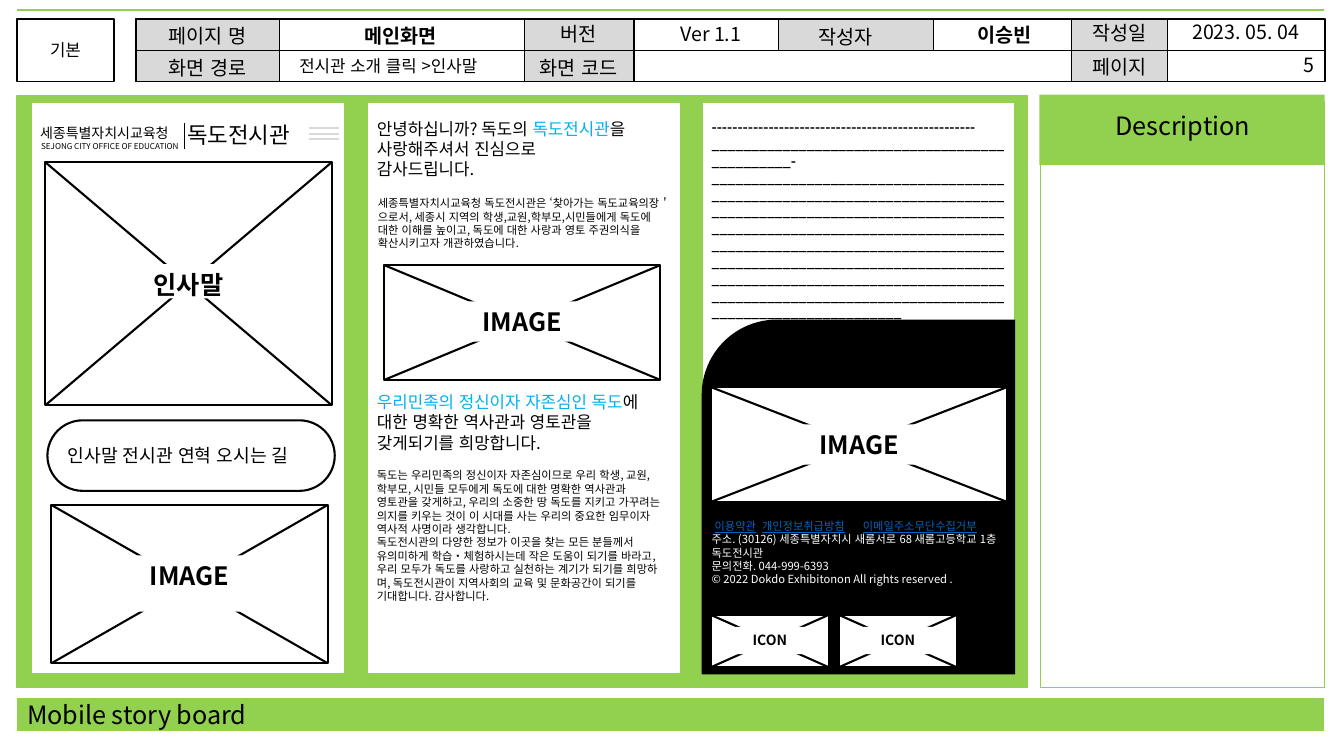
from lxml.etree import SubElement
from pptx import Presentation
from pptx.dml.color import RGBColor
from pptx.enum.lang import MSO_LANGUAGE_ID
from pptx.enum.shapes import MSO_CONNECTOR, MSO_SHAPE
from pptx.enum.text import MSO_ANCHOR, PP_ALIGN
from pptx.oxml.ns import qn
from pptx.util import Inches, Pt

FONT = "Noto Sans CJK KR"
GREEN, GREY, BLACK, WHITE = "92D050", "D9D9D9", "000000", "FFFFFF"
SKY, LINK = "00B0F0", "0563C1"
LEFT, CENTER, RIGHT = PP_ALIGN.LEFT, PP_ALIGN.CENTER, PP_ALIGN.RIGHT


def color(value):
    """Turn a hex string into a colour."""
    return RGBColor.from_string(value)


def add_block(page, left, top, width, height, fill=WHITE, line=None, weight=1,
              preset=MSO_SHAPE.RECTANGLE):
    """Add a filled preset shape, outlined if a line colour is given."""
    shape = page.shapes.add_shape(preset, Inches(left), Inches(top), Inches(width), Inches(height))
    shape.shadow.inherit = False
    shape.fill.solid()
    shape.fill.fore_color.rgb = color(fill)
    if line:
        shape.line.color.rgb = color(line)
        shape.line.width = Pt(weight)
    else:
        shape.line.fill.background()
    return shape


def add_line(page, start, end, line=BLACK, weight=1):
    """Add a straight line between two points."""
    connector = page.shapes.add_connector(
        MSO_CONNECTOR.STRAIGHT, *(Inches(value) for value in (*start, *end)))
    connector.line.color.rgb = color(line)
    connector.line.width = Pt(weight)
    SubElement(connector.element.spPr, qn("a:effectLst"))


def write(shape, paragraphs, size, align=LEFT, ink=BLACK, bold=False, anchor=MSO_ANCHOR.TOP):
    """Fill a shape with paragraphs, each a string or a list of (text, colour) spans."""
    frame = shape.text_frame
    frame.word_wrap = True
    frame.vertical_anchor = anchor
    for index, content in enumerate(paragraphs):
        para = frame.add_paragraph() if index else frame.paragraphs[0]
        para.alignment = align
        for text, tone in [(content, ink)] if isinstance(content, str) else content:
            span = para.add_run()
            span.text = text
            font = span.font
            font.size = Pt(size)
            font.bold = bold
            font.underline = tone == LINK
            font.color.rgb = color(tone)
            font.language_id = MSO_LANGUAGE_ID.KOREAN
            font.name = FONT
            SubElement(span.font._element, qn("a:ea"), typeface=FONT)


def add_text(page, left, top, width, height, paragraphs, size, **style):
    """Add a wrapping text box."""
    box = page.shapes.add_textbox(Inches(left), Inches(top), Inches(width), Inches(height))
    write(box, paragraphs, size, **style)
    return box


def add_placeholder(page, left, top, width, height, label, size, band_top, band_height, inset=0.05):
    """Add a crossed frame with a white label band over its middle."""
    right, bottom = left + width, top + height
    add_block(page, left, top, width, height, line=BLACK, weight=1.5)
    add_line(page, (left, top), (right, bottom), weight=1.5)
    add_line(page, (left, bottom), (right, top), weight=1.5)
    band = add_block(page, left + inset, band_top, width - 2 * inset, band_height)
    write(band, [label], size, align=CENTER, bold=True)


def add_header(page):
    """Add the document information strip."""
    add_line(page, (0.17, 0.1), (13.13, 0.1), GREEN, 2)
    add_block(page, 0.17, 0.19, 0.96, 0.62, line=BLACK)
    add_text(page, 0.17, 0.35, 0.96, 0.3, ["기본"], 12, align=CENTER)
    add_block(page, 1.35, 0.19, 11.79, 0.62, line=BLACK)
    for left, width, height in [(1.35, 1.42, 0.62), (5.2, 1.09, 0.62),
                                (7.72, 1.54, 0.31), (10.63, 0.95, 0.62)]:
        add_block(page, left, 0.19, width, height, GREY, BLACK)
    add_line(page, (1.35, 0.5), (13.13, 0.5))
    for left, top, width, text, align, bold in [
            (1.35, 0.19, 1.42, "페이지 명", CENTER, False),
            (1.35, 0.51, 1.42, "화면 경로", CENTER, False),
            (2.76, 0.19, 2.43, "메인화면", CENTER, True),
            (5.2, 0.17, 1.08, "버전", CENTER, False),
            (5.2, 0.51, 1.08, "화면 코드", CENTER, False),
            (6.28, 0.17, 1.54, "Ver 1.1", CENTER, False),
            (7.62, 0.2, 1.54, "작성자", CENTER, False),
            (9.26, 0.18, 1.4, "이승빈", CENTER, True),
            (10.63, 0.16, 0.95, "작성일", CENTER, False),
            (11.58, 0.15, 1.55, "2023. 05. 04", CENTER, False),
            (10.63, 0.5, 0.95, "페이지", CENTER, False),
            (11.88, 0.48, 1.25, "5", RIGHT, False)]:
        add_text(page, left, top, width, 0.34, [text], 14, align=align, bold=bold)
    add_text(page, 2.87, 0.5, 2.21, 0.5, ["전시관 소개 클릭 >인사말"], 12)


def add_side_panels(page):
    """Add the description column and the footer band."""
    add_block(page, 10.32, 1.01, 2.82, 5.81, line=GREEN, weight=0.75)
    add_block(page, 10.31, 0.94, 2.83, 0.7, GREEN)
    add_text(page, 10.32, 1.05, 2.82, 0.4, ["Description"], 18, align=CENTER)
    add_line(page, (0.17, 7.09), (13.13, 7.09), GREEN, 24)
    add_text(page, 0.17, 6.89, 2.73, 0.4, ["Mobile story board"], 18)


def add_first_screen(page):
    """Add the title screen with its menu."""
    add_placeholder(page, 0.45, 1.61, 2.84, 2.41, "인사말", 18, 2.62, 0.34, inset=0.48)
    menu = add_block(page, 0.47, 4.17, 2.85, 0.7, line=BLACK, weight=1.5,
                     preset=MSO_SHAPE.ROUNDED_RECTANGLE)
    menu.adjustments[0] = 0.5
    write(menu, ["인사말 전시관 연혁 오시는 길"], 13, anchor=MSO_ANCHOR.MIDDLE)
    add_placeholder(page, 0.51, 5.01, 2.74, 1.57, "IMAGE", 18, 5.51, 0.56)
    for top in (1.27, 1.33, 1.38):
        add_line(page, (3.06, top), (3.36, top), GREY, 1.75)
    add_text(page, 0.3, 1.18, 1.6, 0.27, ["세종특별자치시교육청"], 10, anchor=MSO_ANCHOR.MIDDLE)
    add_text(page, 0.31, 1.35, 1.6, 0.29, ["SEJONG CITY OFFICE OF EDUCATION"], 5.8)
    add_text(page, 1.76, 1.15, 1.49, 0.37, ["독도전시관"], 16)
    add_line(page, (1.83, 1.22), (1.83, 1.48))


def add_second_screen(page):
    """Add the greeting screen."""
    add_text(page, 3.64, 1.13, 3.11, 0.88, [
        [("안녕하십니까? 독도의 ", BLACK), ("독도전시관", SKY), ("을", BLACK)],
        "사랑해주셔서 진심으로", "감사드립니다."], 12)
    add_text(page, 3.65, 1.9, 3.11, 0.64, [
        "세종특별자치시교육청 독도전시관은 ‘찾아가는 독도교육의장＇으로서, 세종시 지역의 "
        "학생,교원,학부모,시민들에게 독도에 대한 이해를 높이고, 독도에 대한 사랑과 영토 "
        "주권의식을 확산시키고자 개관하였습니다."], 8)
    add_placeholder(page, 3.81, 2.63, 2.74, 1.14, "IMAGE", 18, 2.99, 0.4)
    add_text(page, 3.64, 3.84, 3.11, 0.88, [
        [("우리민족의 정신이자 자존심인 독도", SKY), ("에", BLACK)],
        "대한 명확한 역사관과 영토관을 갖게되기를 희망합니다."], 12)
    add_text(page, 3.64, 4.6, 3.11, 1.58, [
        "독도는 우리민족의 정신이자 자존심이므로 우리 학생, 교원, 학부모, 시민들 모두에게 "
        "독도에 대한 명확한 역사관과 영토관을 갖게하고, 우리의 소중한 땅 독도를 지키고 가꾸려는 "
        "의지를 키우는 것이 이 시대를 사는 우리의 중요한 임무이자 역사적 사명이라 생각합니다.",
        "독도전시관의 다양한 정보가 이곳을 찾는 모든 분들께서 유의미하게 학습‧체험하시는데 "
        "작은 도움이 되기를 바라고, 우리 모두가 독도를 사랑하고 실천하는 계기가 되기를 "
        "희망하며, 독도전시관이 지역사회의 교육 및 문화공간이 되기를 기대합니다. 감사합니다."], 8)


def add_third_screen(page):
    """Add the closing screen with its dark footer."""
    filler = "-" * 51 + "_" * 47 + "-" + "_" * 320
    add_text(page, 6.96, 1.13, 3.11, 1.62, [filler], 10, bold=True)
    footer = add_block(page, 6.96, 3.17, 3.11, 3.52, BLACK,
                       preset=MSO_SHAPE.ROUND_1_RECTANGLE)
    footer.adjustments[0] = 0.24
    footer.element.spPr.xfrm.set("flipH", "1")
    add_placeholder(page, 7.05, 3.84, 2.94, 1.14, "IMAGE", 18, 4.21, 0.4)
    contact = add_text(page, 6.96, 5.1, 3.11, 0.91, [
        [("이용약관", LINK), ("\t", WHITE), ("개인정보취급방침", LINK), ("\t", WHITE),
         ("이메일주소무단수집거부", LINK)],
        "주소. (30126) 세종특별자치시 새롬서로 68 새롬고등학교 1층 독도전시관",
        "문의전화. 044-999-6393",
        "© 2022 Dokdo Exhibitonon All rights reserved ."], 8, ink=WHITE)
    properties = contact.text_frame.paragraphs[0]._p.get_or_add_pPr()
    properties.set("indent", str(Inches(0.03)))
    stops = SubElement(properties, qn("a:tabLst"))
    for position in (0.57, 1.48):
        SubElement(stops, qn("a:tab"), pos=str(Inches(position)), algn="l")
    for left in (7.05, 8.32):
        add_placeholder(page, left, 6.1, 1.17, 0.52, "ICON", 10, 6.22, 0.27, inset=0.02)


def main():
    """Build the storyboard slide."""
    deck = Presentation()
    deck.slide_width, deck.slide_height = Inches(13.33), Inches(7.5)
    page = deck.slides.add_slide(deck.slide_layouts[6])
    add_block(page, 0.17, 0.95, 10.02, 5.87, GREEN, GREEN, 1.25)
    for left in (0.31, 3.64, 6.96):
        add_block(page, left, 1.01, 3.11, 5.68, line=GREEN, weight=1.25)
    add_header(page)
    add_side_panels(page)
    add_first_screen(page)
    add_second_screen(page)
    add_third_screen(page)
    deck.save("out.pptx")


if __name__ == "__main__":
    main()
